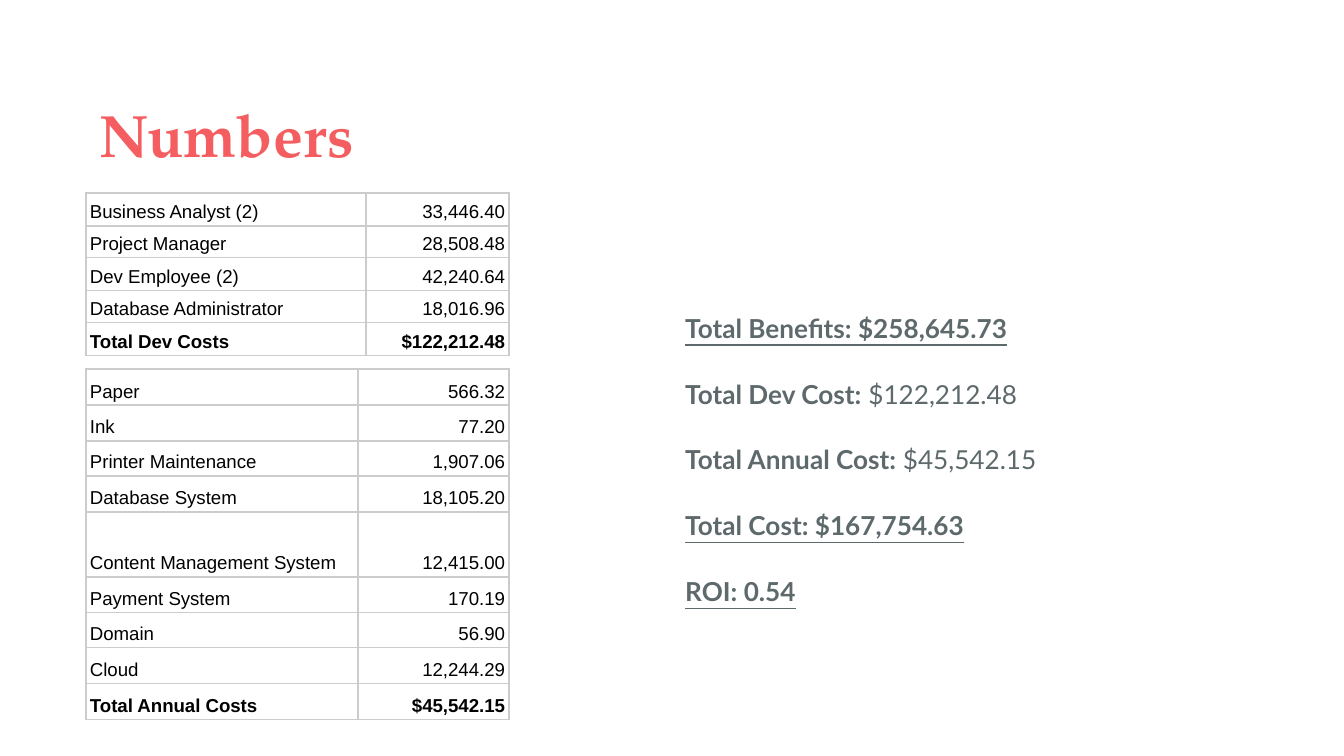
from dataclasses import dataclass
from itertools import accumulate

from lxml.etree import SubElement
from pptx import Presentation
from pptx.dml.color import RGBColor
from pptx.enum.text import MSO_ANCHOR, PP_ALIGN
from pptx.oxml.ns import qn
from pptx.util import Emu, Pt

SCALE = 914400 / 134.4  # EMU in one px


@dataclass(frozen=True)
class Theme:
    coral: str = "F55E61"
    slate: str = "5E696C"
    black: str = "000000"
    border: str = "CCCCCC"
    title_font: str = "TeX Gyre Pagella"
    body_font: str = "Lato"
    table_font: str = "Arial"
    title_size: int = 32
    body_size: int = 14
    table_size: int = 10
    line_spacing: float = 1.15
    paragraph_gap: int = 16
    text_inset: float = 7.2
    border_width: float = 0.75


THEME = Theme()

DEV_COSTS = [
    ("Business Analyst (2)", "33,446.40"),
    ("Project Manager", "28,508.48"),
    ("Dev Employee (2)", "42,240.64"),
    ("Database Administrator", "18,016.96"),
    ("Total Dev Costs", "$122,212.48"),
]
ANNUAL_COSTS = [
    ("Paper", "566.32"),
    ("Ink", "77.20"),
    ("Printer Maintenance", "1,907.06"),
    ("Database System", "18,105.20"),
    ("Content Management System", "12,415.00"),
    ("Payment System", "170.19"),
    ("Domain", "56.90"),
    ("Cloud", "12,244.29"),
    ("Total Annual Costs", "$45,542.15"),
]
# Each line: bold part, regular part; lines without a regular part are underlined
SUMMARY = [
    ("Total Benefits: $258,645.73", ""),
    ("Total Dev Cost:", " $122,212.48"),
    ("Total Annual Cost: ", "$45,542.15"),
    ("Total Cost: $167,754.63", ""),
    ("ROI: 0.54", ""),
]


def px(length):
    return Emu(round(length * SCALE))


def style(span, font, size, color, bold=False, underline=False):
    span.font.name = font
    span.font.size = Pt(size)
    span.font.color.rgb = RGBColor.from_string(color)
    span.font.bold = bold
    span.font.underline = underline


def add_text_frame(page, left, top, width, height):
    box = page.shapes.add_textbox(px(left), px(top), px(width), px(height))
    frame = box.text_frame
    frame.word_wrap = True
    frame.margin_left = frame.margin_right = Pt(THEME.text_inset)
    frame.margin_top = frame.margin_bottom = Pt(THEME.text_inset)
    return frame


def add_title(page, text):
    para = add_text_frame(page, 86, 84, 1103, 140).paragraphs[0]
    para.text = text
    style(para.runs[0], THEME.title_font, THEME.title_size, THEME.coral, bold=True)


def add_summary(page, lines):
    frame = add_text_frame(page, 672, 294, 446, 333)
    for index, (strong, plain) in enumerate(lines):
        para = frame.add_paragraph() if index else frame.paragraphs[0]
        para.line_spacing = THEME.line_spacing
        para.space_before = Pt(THEME.paragraph_gap if index else 0)
        for text, bold in ((strong, True), (plain, False)):
            if text:
                span = para.add_run()
                span.text = text
                style(span, THEME.body_font, THEME.body_size, THEME.slate,
                      bold=bold, underline=not plain)


def add_borders(cell):
    properties = cell._tc.get_or_add_tcPr()
    for side in ("L", "R", "T", "B"):
        line = SubElement(properties, qn(f"a:ln{side}"), w=str(Pt(THEME.border_width)))
        fill = SubElement(line, qn("a:solidFill"))
        SubElement(fill, qn("a:srgbClr"), val=THEME.border)


def fill_cell(cell, text, align, bold):
    add_borders(cell)
    cell.fill.background()
    cell.vertical_anchor = MSO_ANCHOR.BOTTOM
    cell.margin_left = cell.margin_right = px(4)
    cell.margin_top = cell.margin_bottom = px(3)
    para = cell.text_frame.paragraphs[0]
    para.text = text
    para.alignment = align
    para.line_spacing = THEME.line_spacing
    style(para.runs[0], THEME.table_font, THEME.table_size, THEME.black, bold=bold)


def add_cost_table(page, entries, top, height, columns, weights):
    """Share the height among the rows by weight; the last row is the total."""
    left, frame_size = 86, 441
    frame = page.shapes.add_table(len(entries), len(columns), px(left), px(top),
                                  px(frame_size), px(frame_size))
    table = frame.table
    table.first_row = table.horz_banding = False
    for column, width in zip(table.columns, columns):
        column.width = px(width)
    edges = [round(height * part / sum(weights))
             for part in accumulate(weights, initial=0)]
    for row, start, end in zip(table.rows, edges, edges[1:]):
        row.height = px(end - start)
    # Row and column changes resize the frame, so its size is set last
    frame.width = frame.height = px(frame_size)
    for row, entry in zip(table.rows, entries):
        for cell, text, align in zip(row.cells, entry, (PP_ALIGN.LEFT, PP_ALIGN.RIGHT)):
            fill_cell(cell, text, align, bold=entry is entries[-1])


def main():
    deck = Presentation()
    deck.slide_width, deck.slide_height = px(1344), px(756)
    page = deck.slides.add_slide(deck.slide_layouts[6])

    # Heading and totals on the right
    add_title(page, "Numbers")
    add_summary(page, SUMMARY)

    # Cost tables on the left; the content system row is taller
    add_cost_table(page, DEV_COSTS, 193, 163, (280, 143), [1] * 5)
    add_cost_table(page, ANNUAL_COSTS, 369, 351, (272, 151),
                   [1] * 4 + [1.8] + [1] * 4)

    deck.save("out.pptx")


if __name__ == "__main__":
    main()
